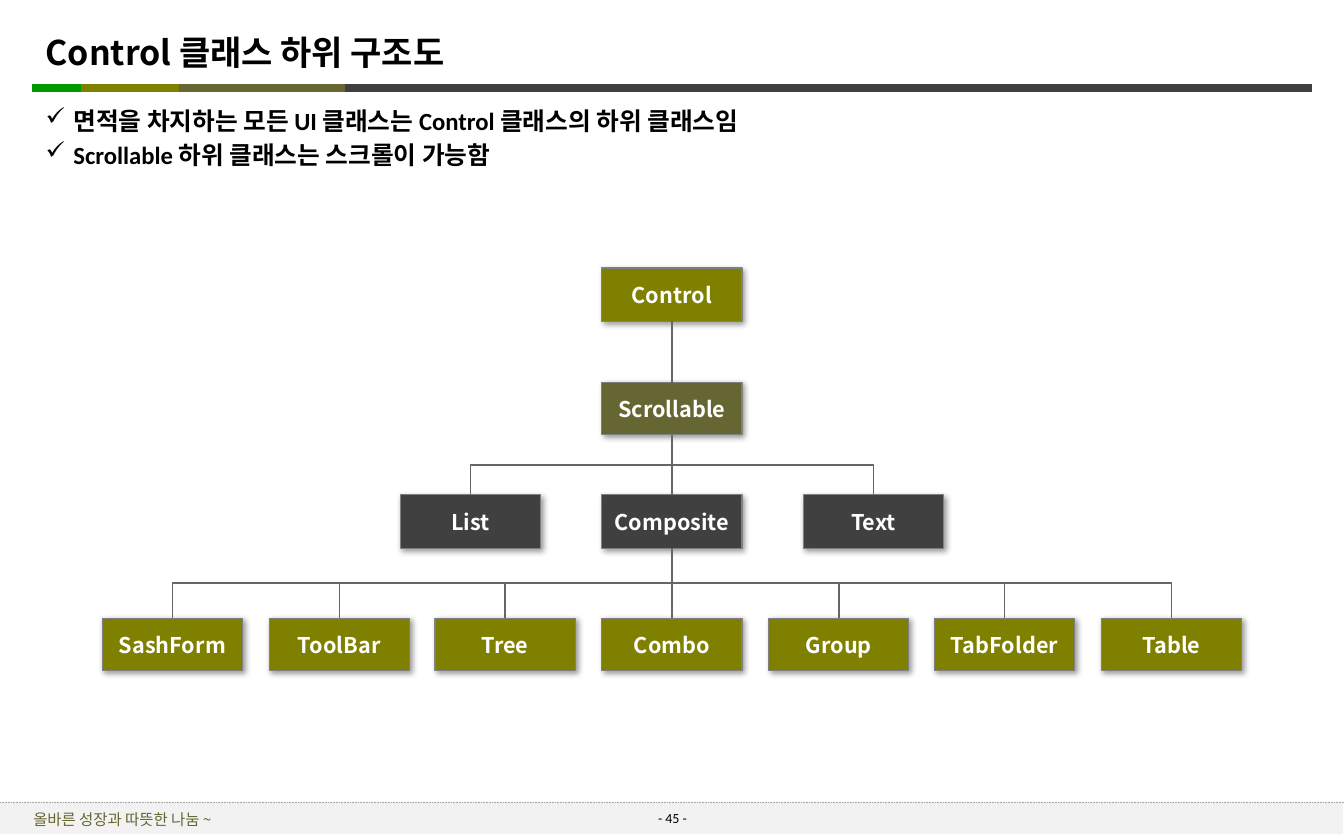
from dataclasses import dataclass

from lxml.etree import SubElement
from pptx import Presentation
from pptx.dml.color import RGBColor as Rgb
from pptx.enum.dml import MSO_LINE_DASH_STYLE as Dash
from pptx.enum.shapes import MSO_CONNECTOR as Link, MSO_SHAPE as Preset
from pptx.enum.text import MSO_ANCHOR as Anchor, PP_ALIGN as Align
from pptx.oxml.ns import qn
from pptx.util import Emu, Pt

EMU_PER_PX = 9144


@dataclass(frozen=True)
class Theme:
    black: str = "000000"
    white: str = "FFFFFF"
    green: str = "009900"
    olive: str = "808000"
    moss: str = "666633"
    charcoal: str = "404040"
    link: str = "666666"
    border: str = "808080"
    footer: str = "F2F2F2"
    dots: str = "A6A6A6"
    korean: str = "Noto Sans CJK KR"
    latin: str = "Calibri"
    title_size: float = 22
    body_size: float = 16
    node_size: float = 14
    footer_size: float = 10
    page_size: float = 9


def px(value):
    return Emu(round(value * EMU_PER_PX))


def apply(target, formats):
    for name, value in formats.items():
        setattr(target, name, value)


class Canvas:
    def __init__(self, slide, theme):
        self.slide = slide
        self.theme = theme

    def fill_text(self, frame, lines, size, color, font, bold=False, align=Align.LEFT,
                  anchor=Anchor.TOP, margins=(10, 5), wrap=True, bullet=None, formats=None):
        across, down = map(px, margins)
        apply(frame, {"word_wrap": wrap, "vertical_anchor": anchor,
                      "margin_left": across, "margin_right": across,
                      "margin_top": down, "margin_bottom": down})
        for index, line in enumerate(lines):
            paragraph = frame.paragraphs[0] if index == 0 else frame.add_paragraph()
            apply(paragraph, {"alignment": align, **(formats or {})})
            if index:
                paragraph.space_before = Pt(size * 0.2)
            if bullet:
                self.add_bullet(paragraph, bullet)
            run = paragraph.add_run()
            run.text = line
            apply(run.font, {"name": font, "size": Pt(size), "bold": bold})
            run.font.color.rgb = Rgb.from_string(color)
            SubElement(run.font._element, qn("a:ea"), typeface=self.theme.korean)

    def add_bullet(self, paragraph, character):
        properties = paragraph._p.get_or_add_pPr()
        properties.set("marL", str(px(25)))
        properties.set("indent", str(px(-25)))
        color = SubElement(properties, qn("a:buClr"))
        SubElement(color, qn("a:srgbClr"), val=self.theme.black)
        SubElement(properties, qn("a:buChar"), char=character)

    def text(self, box, lines, size, color, font, **options):
        shape = self.slide.shapes.add_textbox(*map(px, box))
        self.fill_text(shape.text_frame, lines, size, color, font, **options)

    def rectangle(self, box, fill, border=None):
        shape = self.slide.shapes.add_shape(Preset.RECTANGLE, *map(px, box))
        shape.shadow.inherit = False
        shape.fill.solid()
        shape.fill.fore_color.rgb = Rgb.from_string(fill)
        if border:
            shape.line.color.rgb = Rgb.from_string(border)
            shape.line.width = Pt(0.75)
        else:
            shape.line.fill.background()
        return shape

    def node(self, box, label, fill):
        shape = self.rectangle(box, fill, self.theme.border)
        effects = shape.element.spPr.find(qn("a:effectLst"))
        shadow = SubElement(effects, qn("a:outerShdw"), blurRad=str(Pt(4)), dist=str(Pt(2)),
                            dir="2700000", algn="tl", rotWithShape="0")
        color = SubElement(shadow, qn("a:srgbClr"), val=self.theme.black)
        SubElement(color, qn("a:alpha"), val="40000")
        self.fill_text(shape.text_frame, [label], self.theme.node_size, self.theme.white,
                       self.theme.korean, bold=True, align=Align.CENTER,
                       anchor=Anchor.MIDDLE, margins=(11, 5), wrap=False)

    def line(self, start, end, color, width, kind=Link.STRAIGHT, dash=None):
        connector = self.slide.shapes.add_connector(kind, *map(px, (*start, *end)))
        connector.line.color.rgb = Rgb.from_string(color)
        apply(connector.line, {"width": Pt(width), "dash_style": dash})
        SubElement(connector.element.spPr, qn("a:effectLst"))
        return connector

    def branch(self, start, end):
        (x1, y1), (x2, y2) = start, end
        if x1 == x2:
            self.line(start, end, self.theme.link, 1)
            return
        side = 1 if x2 > x1 else -1
        middle_x, middle_y = (x1 + x2) / 2, (y1 + y2) / 2
        half_drop, half_reach = (y2 - y1) / 2, abs(x2 - x1) / 2
        connector = self.line((middle_x + side * half_drop, middle_y - half_reach),
                              (middle_x - side * half_drop, middle_y + half_reach),
                              self.theme.link, 1, Link.ELBOW)
        transform = connector.element.spPr.xfrm
        apply(transform, {"rot": 270 if side > 0 else 90, "flipH": side > 0})


def draw_frame(canvas, theme):
    for left, right, color in ((298, 1179, theme.charcoal), (29, 109, theme.green),
                               (73, 166, theme.olive), (161, 310, theme.moss)):
        canvas.line((left, 79), (right, 79), color, 5)
    canvas.rectangle((0, 721, 1207, 29), theme.footer)
    canvas.text((513, 722, 183, 26), ["- 45 -"], theme.page_size, theme.black, theme.latin,
                align=Align.CENTER, formats={"line_spacing": 1.05})
    canvas.line((0, 722), (1208, 722), theme.dots, 0.5, dash=Dash.ROUND_DOT)
    canvas.text((0, 724, 220, 26), ["올바른 성장과 따뜻한 나눔 ~"], theme.footer_size,
                theme.moss, theme.korean, align=Align.CENTER, anchor=Anchor.MIDDLE)


def draw_headings(canvas, theme):
    canvas.text((37, 15, 1000, 63), ["Control 클래스 하위 구조도"], theme.title_size,
                theme.black, theme.korean, bold=True, anchor=Anchor.MIDDLE, margins=(4, 4))
    canvas.text((37, 91, 1150, 67),
                ["면적을 차지하는 모든 UI 클래스는 Control 클래스의 하위 클래스임",
                 "Scrollable 하위 클래스는 스크롤이 가능함"],
                theme.body_size, theme.black, theme.latin, bold=True, margins=(4, 4), bullet="✓")


def draw_tree(canvas, theme):
    center, width = 604, 126
    levels = (
        (241, 48, 0, theme.olive, ["Control"]),
        (344, 47, 0, theme.moss, ["Scrollable"]),
        (445, 48, 181, theme.charcoal, ["List", "Composite", "Text"]),
        (556, 47, 449, theme.olive,
         ["SashForm", "ToolBar", "Tree", "Combo", "Group", "TabFolder", "Table"]),
    )
    parent_bottom = None
    for top, height, reach, fill, labels in levels:
        gaps = max(len(labels) - 1, 1)
        for index, label in enumerate(labels):
            offset = round(reach * (2 * index / gaps - 1))
            x = center + offset
            canvas.node((x - width // 2, top, width, height), label, fill)
            if parent_bottom:
                canvas.branch((center, parent_bottom), (x, top))
        parent_bottom = top + height


def main():
    presentation = Presentation()
    apply(presentation, {"slide_width": px(1208), "slide_height": px(750)})
    slide = presentation.slides.add_slide(presentation.slide_layouts[6])
    theme = Theme()
    canvas = Canvas(slide, theme)
    draw_frame(canvas, theme)
    draw_headings(canvas, theme)
    draw_tree(canvas, theme)
    presentation.save("out.pptx")


if __name__ == "__main__":
    main()
